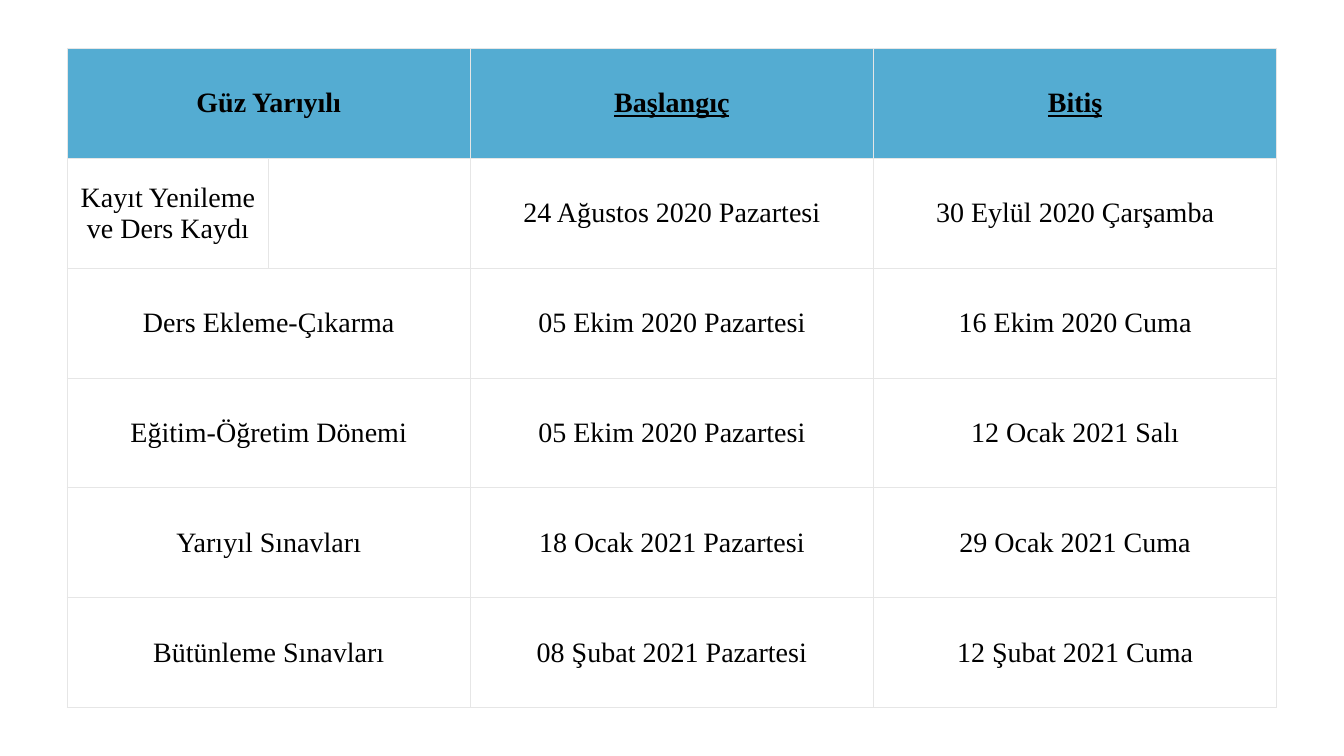
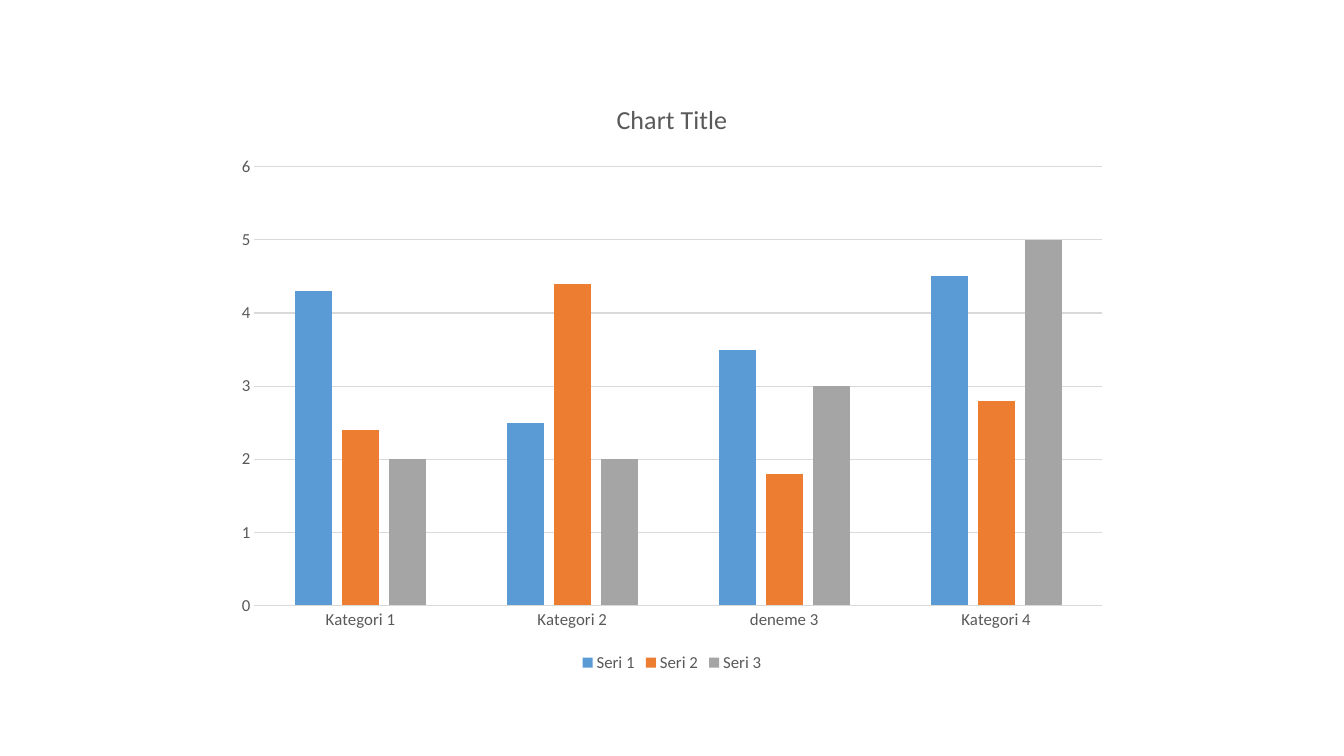
from lxml import etree
from pptx import Presentation
from pptx import util as u
from pptx.chart import data
from pptx.dml import color
from pptx.enum import chart as kinds
from pptx.enum import text
from pptx.oxml import ns

WIDTH, HEIGHT = u.Inches(13.33), u.Inches(7.5)
TABLE_FONT, CHART_FONT = "Times New Roman", "Calibri"
BLUE, WHITE, BLACK = "54ACD2", "FFFFFF", "000000"
BORDER, GRID, GREY = "E6E6E6", "D9D9D9", "595959"

COLUMN_UNITS = [1, 1, 2, 2]
CALENDAR = [
    ["Güz Yarıyılı", None, "Başlangıç", "Bitiş"],
    ["Kayıt Yenileme ve Ders Kaydı", "", "24 Ağustos 2020 Pazartesi", "30 Eylül 2020 Çarşamba"],
    ["Ders Ekleme-Çıkarma", None, "05 Ekim 2020 Pazartesi", "16 Ekim 2020 Cuma"],
    ["Eğitim-Öğretim Dönemi", None, "05 Ekim 2020 Pazartesi", "12 Ocak 2021 Salı"],
    ["Yarıyıl Sınavları", None, "18 Ocak 2021 Pazartesi", "29 Ocak 2021 Cuma"],
    ["Bütünleme Sınavları", None, "08 Şubat 2021 Pazartesi", "12 Şubat 2021 Cuma"],
]
CATEGORIES = ["Kategori 1", "Kategori 2", "deneme 3", "Kategori 4"]
SERIES = [
    ("Seri 1", [4.3, 2.5, 3.5, 4.5], "5B9BD5"),
    ("Seri 2", [2.4, 4.4, 1.8, 2.8], "ED7D31"),
    ("Seri 3", [2, 2, 3, 5], "A5A5A5"),
]


def rgb(value):
    return color.RGBColor.from_string(value)


def area(left, top, width, height):
    return int(left * WIDTH), int(top * HEIGHT), int(width * WIDTH), int(height * HEIGHT)


def set_font(font, name, size, value, bold=False):
    font.name, font.size, font.bold = name, u.Pt(size), bold
    font.color.rgb = rgb(value)


def set_borders(cell, value, points):
    properties = cell._tc.get_or_add_tcPr()
    for index, side in enumerate(["lnL", "lnR", "lnT", "lnB"]):
        line = etree.Element(ns.qn(f"a:{side}"), w=str(u.Pt(points)))
        fill = etree.SubElement(line, ns.qn("a:solidFill"))
        etree.SubElement(fill, ns.qn("a:srgbClr"), val=value)
        properties.insert(index, line)


def style_cell(cell, wording, fill, bold, underline):
    cell.fill.solid()
    cell.fill.fore_color.rgb = rgb(fill)
    set_borders(cell, BORDER, 0.6)
    cell.margin_left = cell.margin_right = u.Inches(0.08)
    cell.margin_top = cell.margin_bottom = u.Inches(0.04)
    cell.vertical_anchor = text.MSO_ANCHOR.MIDDLE
    if wording:
        cell.text = wording
        para = cell.text_frame.paragraphs[0]
        para.alignment = text.PP_ALIGN.CENTER
        set_font(para.font, TABLE_FONT, 20, BLACK, bold)
        para.font.underline = underline


def add_calendar(page, rows, place):
    table = page.shapes.add_table(len(rows), len(COLUMN_UNITS), *place).table
    for column, units in zip(table.columns, COLUMN_UNITS):
        column.width = place[2] * units // sum(COLUMN_UNITS)
    for r, row in enumerate(rows):
        header = r == 0
        for c, wording in enumerate(row):
            style_cell(table.cell(r, c), wording, BLUE if header else WHITE, header, header and c > 0)
        if row[1] is None:
            table.cell(r, 0).merge(table.cell(r, 1))


def style_axis(axis):
    axis.major_tick_mark = axis.minor_tick_mark = kinds.XL_TICK_MARK.NONE
    set_font(axis.tick_labels.font, CHART_FONT, 12, GREY)


def set_line(line, value):
    line.color.rgb = rgb(value)
    line.width = u.Pt(0.75)


def add_title(chart, wording):
    chart.has_title = True
    frame = chart.chart_title.text_frame
    frame.text = wording
    set_font(frame.paragraphs[0].font, CHART_FONT, 18.6, GREY)
    chart.chart_title.include_in_layout = False


def add_columns(page, title, categories, series, place):
    values = data.CategoryChartData()
    values.categories = categories
    for name, numbers, _ in series:
        values.add_series(name, numbers)
    chart = page.shapes.add_chart(kinds.XL_CHART_TYPE.COLUMN_CLUSTERED, *place, values).chart
    set_font(chart.font, CHART_FONT, 10, BLACK)
    add_title(chart, title)

    style_axis(chart.category_axis)
    set_line(chart.category_axis.format.line, GRID)
    style_axis(chart.value_axis)
    chart.value_axis.format.line.fill.background()
    set_line(chart.value_axis.major_gridlines.format.line, GRID)

    chart.has_legend = True
    chart.legend.position = kinds.XL_LEGEND_POSITION.BOTTOM
    chart.legend.include_in_layout = False
    set_font(chart.legend.font, CHART_FONT, 12, GREY)

    plot = chart.plots[0]
    plot.gap_width, plot.overlap, plot.vary_by_categories = 219, -27, False
    for columns, (_, _, value) in zip(plot.series, series):
        columns.format.fill.solid()
        columns.format.fill.fore_color.rgb = rgb(value)


def main():
    deck = Presentation()
    deck.slide_width, deck.slide_height = WIDTH, HEIGHT
    blank = deck.slide_layouts[6]
    add_calendar(deck.slides.add_slide(blank), CALENDAR, area(0.05, 0.064, 0.9, 0.872))
    add_columns(deck.slides.add_slide(blank), "Chart Title", CATEGORIES, SERIES,
                area(1 / 6, 0.105, 2 / 3, 0.79))
    deck.save("out.pptx")


if __name__ == "__main__":
    main()
